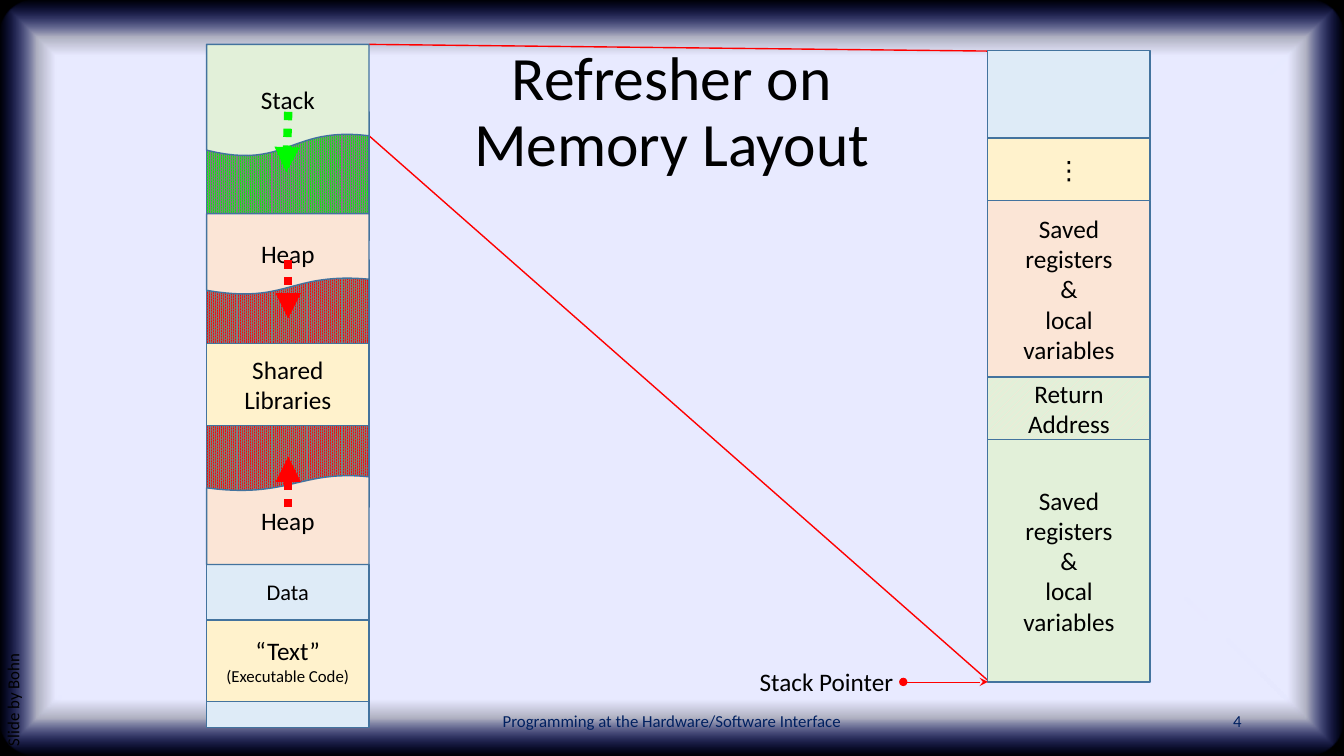
from lxml import etree
from pptx import Presentation
from pptx.dml.color import RGBColor
from pptx.enum.dml import MSO_LINE, MSO_PATTERN
from pptx.enum.shapes import MSO_CONNECTOR, MSO_SHAPE
from pptx.enum.text import MSO_ANCHOR, PP_ALIGN
from pptx.oxml import parse_xml
from pptx.oxml.ns import qn
from pptx.util import Pt

LEFT, CENTER, RIGHT = PP_ALIGN.LEFT, PP_ALIGN.CENTER, PP_ALIGN.RIGHT
TOP, MIDDLE = MSO_ANCHOR.TOP, MSO_ANCHOR.MIDDLE
RECT, ROUNDED = MSO_SHAPE.RECTANGLE, MSO_SHAPE.ROUNDED_RECTANGLE
STRAIGHT = MSO_CONNECTOR.STRAIGHT
DOTTED = MSO_LINE.ROUND_DOT
SPECKLED = MSO_PATTERN.PERCENT_90
STRIPED = MSO_PATTERN.WIDE_UPWARD_DIAGONAL

BLACK = RGBColor(0x00, 0x00, 0x00)
NAVY = RGBColor(0x00, 0x20, 0x60)
OUTLINE = RGBColor(0x43, 0x73, 0x9E)
GRAY = RGBColor(0x80, 0x80, 0x80)
RED = RGBColor(0xFF, 0x00, 0x00)
LIME = RGBColor(0x00, 0xFA, 0x00)
BLUE = RGBColor(0xDE, 0xEB, 0xF7)
YELLOW = RGBColor(0xFF, 0xF2, 0xCC)
PEACH = RGBColor(0xFB, 0xE5, 0xD6)
GREEN = RGBColor(0xE2, 0xF0, 0xD9)

WIDTH, HEIGHT = 960, 540
MEMORY_X, FRAME_X, COLUMN_W = 147.6, 705.6, 116
MEMORY_RIGHT = MEMORY_X + COLUMN_W
ARROW_X = 205.9

GLOW = """<a:gradFill xmlns:a="http://schemas.openxmlformats.org/drawingml/2006/main">
<a:gsLst><a:gs pos="85000"><a:srgbClr val="E8EAFF"/></a:gs>
<a:gs pos="90000"><a:srgbClr val="E8EAFF"><a:alpha val="75000"/></a:srgbClr></a:gs>
<a:gs pos="100000"><a:srgbClr val="162AFF"><a:alpha val="0"/></a:srgbClr></a:gs></a:gsLst>
<a:path path="shape"><a:fillToRect l="50000" t="50000" r="50000" b="50000"/></a:path>
</a:gradFill>"""


def bezier(start, c1, c2, end, steps=24):
    """Points along a cubic curve, both ends included."""
    points = []
    for i in range(steps + 1):
        t = i / steps
        weights = ((1 - t) ** 3, 3 * t * (1 - t) ** 2, 3 * t * t * (1 - t), t ** 3)
        points.append(tuple(sum(w * p[axis] for w, p in zip(weights, (start, c1, c2, end)))
                            for axis in (0, 1)))
    return points


class SlideBuilder:
    font = "Calibri"

    def __init__(self, slide):
        self.shapes = slide.shapes

    def set_text(self, shape, text, size=18, color=BLACK, align=CENTER, anchor=MIDDLE,
                 wrap=True, spacing=None):
        tf = shape.text_frame
        tf.word_wrap = wrap
        tf.vertical_anchor = anchor
        p = tf.paragraphs[0]
        p.text = text
        p.alignment = align
        p.line_spacing = spacing
        p.font.name = self.font
        p.font.size = Pt(size)
        p.font.color.rgb = color

    def text(self, x, y, w, h, text, rotation=0, **style):
        box = self.shapes.add_textbox(Pt(x), Pt(y), Pt(w), Pt(h))
        box.rotation = rotation
        self.set_text(box, text, **style)

    def finish(self, shape, fill, pattern=None, back=None):
        """Outline a memory block and give it a solid or patterned fill."""
        shape.shadow.inherit = False
        if pattern is None:
            shape.fill.solid()
            shape.fill.fore_color.rgb = fill
        else:
            shape.fill.patterned()
            shape.fill.pattern = pattern
            shape.fill.fore_color.rgb = fill
            shape.fill.back_color.rgb = back
        shape.line.color.rgb = OUTLINE
        shape.line.width = Pt(1)

    def block(self, x, y, h, fill, text="", pattern=None, back=None, **style):
        s = self.shapes.add_shape(RECT, Pt(x), Pt(y), Pt(COLUMN_W), Pt(h))
        self.finish(s, fill, pattern, back)
        if text:
            self.set_text(s, text, **style)
        return s

    def wavy_block(self, points, fill, text):
        points = [(Pt(x), Pt(y)) for x, y in points]
        builder = self.shapes.build_freeform(*points[0])
        builder.add_line_segments(points[1:], close=True)
        s = builder.convert_to_shape()
        self.finish(s, fill)
        self.set_text(s, text)

    def line(self, x1, y1, x2, y2, color=RED, width=1, dash=None, head=None, tail=None):
        c = self.shapes.add_connector(STRAIGHT, Pt(x1), Pt(y1), Pt(x2), Pt(y2))
        c.line.color.rgb = color
        c.line.width = Pt(width)
        if dash is not None:
            c.line.dash_style = dash
        spPr = c._element.spPr
        ln = spPr.find(qn("a:ln"))
        for tag, kind in (("a:headEnd", head), ("a:tailEnd", tail)):
            if kind:
                etree.SubElement(ln, qn(tag)).set("type", kind)
        etree.SubElement(spPr, qn("a:effectLst"))

    def growth_arrow(self, y1, y2, color=RED, x2=ARROW_X):
        self.line(ARROW_X, y1, x2, y2, color, 6, DOTTED, tail="triangle")

    def background(self):
        for kind in (RECT, ROUNDED):
            s = self.shapes.add_shape(kind, 0, 0, Pt(WIDTH), Pt(HEIGHT))
            s.shadow.inherit = False
            s.line.fill.background()
            if kind == RECT:
                s.fill.solid()
                s.fill.fore_color.rgb = BLACK
            else:
                s.adjustments[0] = 0.05
                s.fill.background()
                spPr = s._element.spPr
                spPr.replace(spPr.find(qn("a:noFill")), parse_xml(GLOW))


def draw_stack_frame(b):
    variables = "Saved registers\n&\nlocal variables"
    y = 36
    for h, fill, text, pattern, back in (
            (62.6, BLUE, "", None, None),
            (44.7, YELLOW, "⋮", None, None),
            (126, PEACH, variables, None, None),
            (44.6, PEACH, "Return Address", STRIPED, GREEN),
            (173.2, GREEN, variables, None, None)):
        b.block(FRAME_X, y, h, fill, text, pattern, back)
        y += h
    b.text(534.2, 472.3, 111, 29, "Stack Pointer", align=RIGHT, wrap=False)
    b.line(645.2, y, FRAME_X, y, width=0.5, head="oval", tail="stealth")


def draw_memory(b):
    left, right = MEMORY_X, MEMORY_RIGHT
    data = b.block(left, 403.2, 116.6, BLUE, "Data", size=16, anchor=TOP)
    data.text_frame.margin_top = Pt(9.5)

    b.block(left, 79.9, 91.7, GRAY, pattern=SPECKLED, back=LIME)
    b.wavy_block([(left, 31.7), (right, 31.7)] + bezier(
        (right, 97), (206.6, 90), (205.9, 121.7), (left, 107.3)), GREEN, "Stack")

    b.block(left, 185.8, 176.4, GRAY, pattern=SPECKLED, back=RED)
    code = b.block(left, 442.8, 58.3, YELLOW, "“Text” ")
    r = code.text_frame.paragraphs[0].add_run()
    r.text = "(Executable Code)"
    r.font.size = Pt(12)

    b.wavy_block(bezier((left, 348.5), (205.9, 356.4), (214.6, 335.5), (right, 340.6))
                 + [(right, 403.2), (left, 403.2)], PEACH, "Heap")
    b.growth_arrow(362.2, 326.2)
    b.wavy_block([(left, 152.6), (right, 152.6)] + bezier(
        (right, 199.4), (206.6, 194.4), (205.9, 217.4), (left, 207.4)), PEACH, "Heap")
    b.block(left, 245.5, 58.3, YELLOW, "Shared Libraries")
    b.growth_arrow(185.8, 227.5)
    b.growth_arrow(79.9, 123.1, LIME, 204.5)


def main():
    prs = Presentation()
    prs.slide_width, prs.slide_height = Pt(WIDTH), Pt(HEIGHT)
    b = SlideBuilder(prs.slides.add_slide(prs.slide_layouts[6]))
    b.background()
    b.text(66, 28.8, 828, 104.4, "Refresher on\nMemory Layout", size=44, spacing=0.9)
    b.text(678, 500.5, 216, 28.8, "4", size=12, color=NAVY, align=RIGHT)
    b.text(-175.7, 335.5, 380.2, 28.8, "Slide by Bohn", rotation=270, size=12,
           align=LEFT, anchor=TOP, spacing=0.9)
    b.text(318, 500.5, 324, 28.8, "Programming at the Hardware/Software Interface",
           size=12, color=NAVY)
    b.line(MEMORY_RIGHT, 31.7, FRAME_X, 36.5)
    b.line(MEMORY_RIGHT, 97, FRAME_X, 486)
    draw_stack_frame(b)
    draw_memory(b)
    prs.save("out.pptx")


if __name__ == "__main__":
    main()
